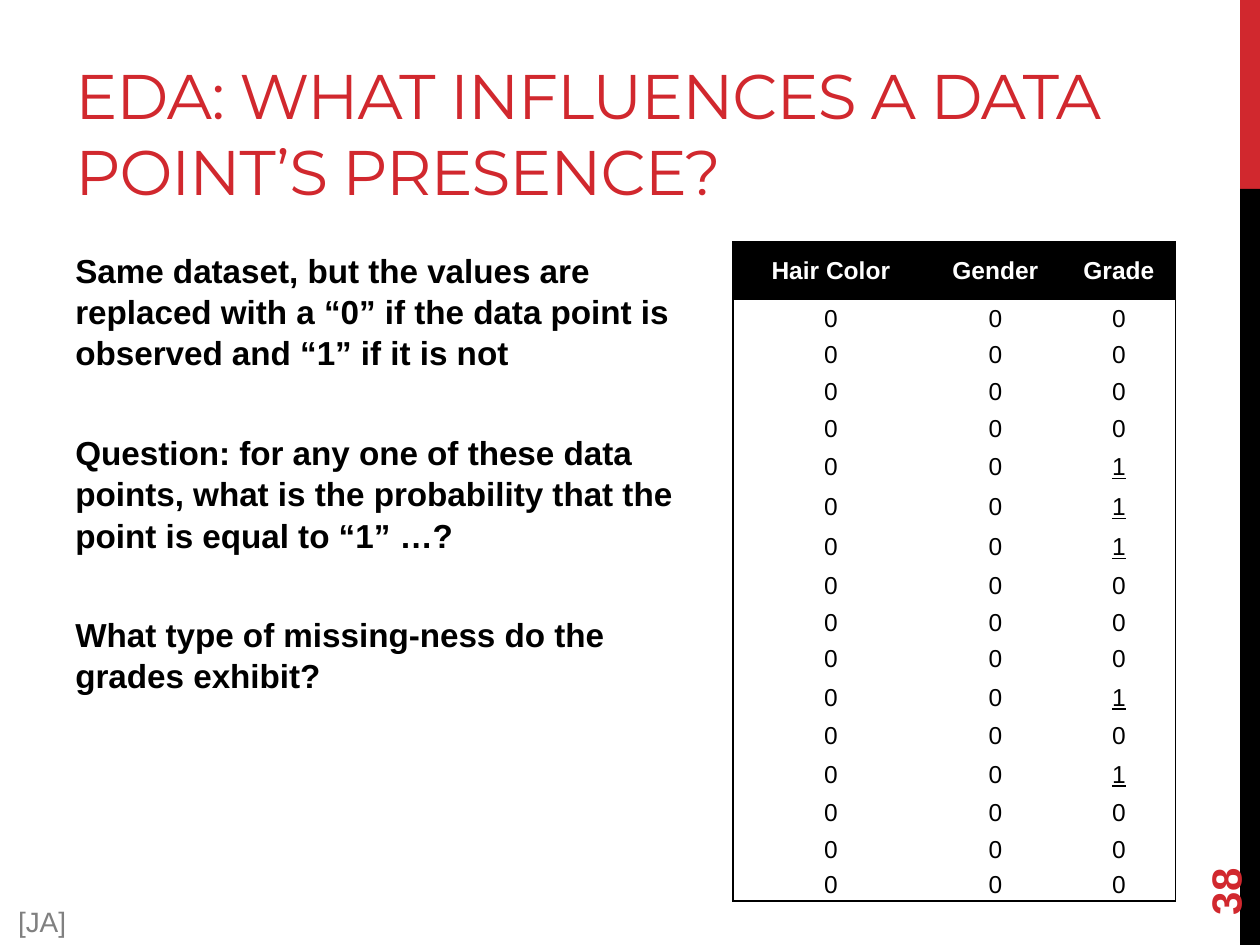
from pptx import Presentation, util as u
from pptx.dml.color import RGBColor
from pptx.enum import shapes, text
from pptx.oxml.ns import qn
from lxml import etree

RED = RGBColor(0xD1, 0x28, 0x2E)
BLACK = RGBColor(0, 0, 0)
WHITE = RGBColor(0xFF, 0xFF, 0xFF)
GRAY = RGBColor(0x80, 0x80, 0x80)

BODY = [
    "Same dataset, but the values are replaced with a “0” if the data point is observed and “1” if it is not",
    "Question: for any one of these data points, what is the probability that the point is equal to “1” …?",
    "What type of missing-ness do the grades exhibit?",
]
HEADERS = ["Hair Color", "Gender", "Grade"]
GRADES = "0000111000101000"
COL_WIDTHS = [3.94, 2.69, 2.29]


def format_run(r, size, color, bold=False, font="Arial"):
    r.font.name, r.font.size, r.font.bold = font, u.Pt(size), bold
    r.font.color.rgb = color


def add_bar(s, top, height, color):
    sp = s.shapes.add_shape(shapes.MSO_SHAPE.RECTANGLE,
                            u.Cm(25), u.Cm(top), u.Cm(0.4), u.Cm(height))
    sp.shadow.inherit = False
    sp.fill.solid()
    sp.fill.fore_color.rgb = color
    sp.line.fill.background()


def add_text(s, box, paragraphs, size, color, bold=False, font="Arial",
             anchor=text.MSO_ANCHOR.TOP, align=text.PP_ALIGN.LEFT):
    sp = s.shapes.add_textbox(*map(u.Cm, box))
    tf = sp.text_frame
    tf.word_wrap = True
    tf.vertical_anchor = anchor
    tf.text = "\n".join(paragraphs)
    for p in tf.paragraphs:
        p.alignment = align
        for r in p.runs:
            format_run(r, size, color, bold, font)
    return sp


def set_borders(cell, visible):
    tc_pr = cell._tc.get_or_add_tcPr()
    for side in "LRTB":
        ln = etree.SubElement(tc_pr, qn(f"a:ln{side}"), w=str(u.Pt(1)))
        if side in visible:
            fill = etree.SubElement(ln, qn("a:solidFill"))
            etree.SubElement(fill, qn("a:srgbClr"), val=str(BLACK))
        else:
            etree.SubElement(ln, qn("a:noFill"))


def fill_cell(cell, value, borders, header):
    cell.margin_left = cell.margin_right = cell.margin_top = cell.margin_bottom = 0
    cell.vertical_anchor = text.MSO_ANCHOR.MIDDLE
    set_borders(cell, borders)
    cell.fill.solid()
    cell.fill.fore_color.rgb = BLACK if header else WHITE
    p = cell.text_frame.paragraphs[0]
    p.text = value
    p.alignment = text.PP_ALIGN.CENTER
    r = p.runs[0]
    format_run(r, 14, WHITE if header else BLACK, header)
    r.font.underline = value == "1"


def add_presence_table(s):
    rows = [HEADERS] + [["0", "0", grade] for grade in GRADES]
    heights = [1.17] + [0.81 if grade == "1" else 0.74 for grade in GRADES]
    heights[-1] = 0.66
    last_row, last_col = len(rows) - 1, len(HEADERS) - 1
    table = s.shapes.add_table(len(rows), len(HEADERS), u.Cm(14.78), u.Cm(4.88),
                               u.Cm(sum(COL_WIDTHS)), u.Cm(sum(heights))).table
    table.horz_banding = False
    for col, width in zip(table.columns, COL_WIDTHS):
        col.width = u.Cm(width)
    for i, values in enumerate(rows):
        table.rows[i].height = u.Cm(heights[i])
        for j, value in enumerate(values):
            edges = {"L": j == 0, "R": j == last_col, "T": i == 0, "B": i == last_row}
            borders = [side for side, outer in edges.items() if outer]
            fill_cell(table.cell(i, j), value, borders, i == 0)


def main():
    prs = Presentation()
    prs.slide_width, prs.slide_height = u.Cm(25.4), u.Cm(19.05)
    s = prs.slides.add_slide(prs.slide_layouts[6])

    add_bar(s, 0, 3.81, RED)
    add_bar(s, 3.81, 15.24, BLACK)

    title = add_text(s, (1.27, 0.43, 21.36, 3.81),
                     ["EDA: WHAT INFLUENCES A DATA POINT’S PRESENCE?"],
                     36, RED, font="Montserrat", anchor=text.MSO_ANCHOR.BOTTOM)
    title.text_frame.margin_bottom = u.Cm(0.05)
    title.text_frame.paragraphs[0].runs[0].font._element.set("spc", "-60")

    body = add_text(s, (1.27, 4.88, 12.6, 12.14), BODY, 19, BLACK, bold=True)
    for i, p in enumerate(body.text_frame.paragraphs):
        p.line_spacing = 1.04
        p.space_before = u.Pt(27 if i else 0)
        p.space_after = u.Pt(6)

    add_presence_table(s)

    number = add_text(s, (22.86, 16.36, 3.66, 1.02), ["38"], 24, RED, bold=True,
                      anchor=text.MSO_ANCHOR.MIDDLE)
    number.rotation = 270
    add_text(s, (0, 18.11, 1.7, 0.94), ["[JA]"], 16, GRAY,
             align=text.PP_ALIGN.CENTER)

    prs.save("out.pptx")


if __name__ == "__main__":
    main()
